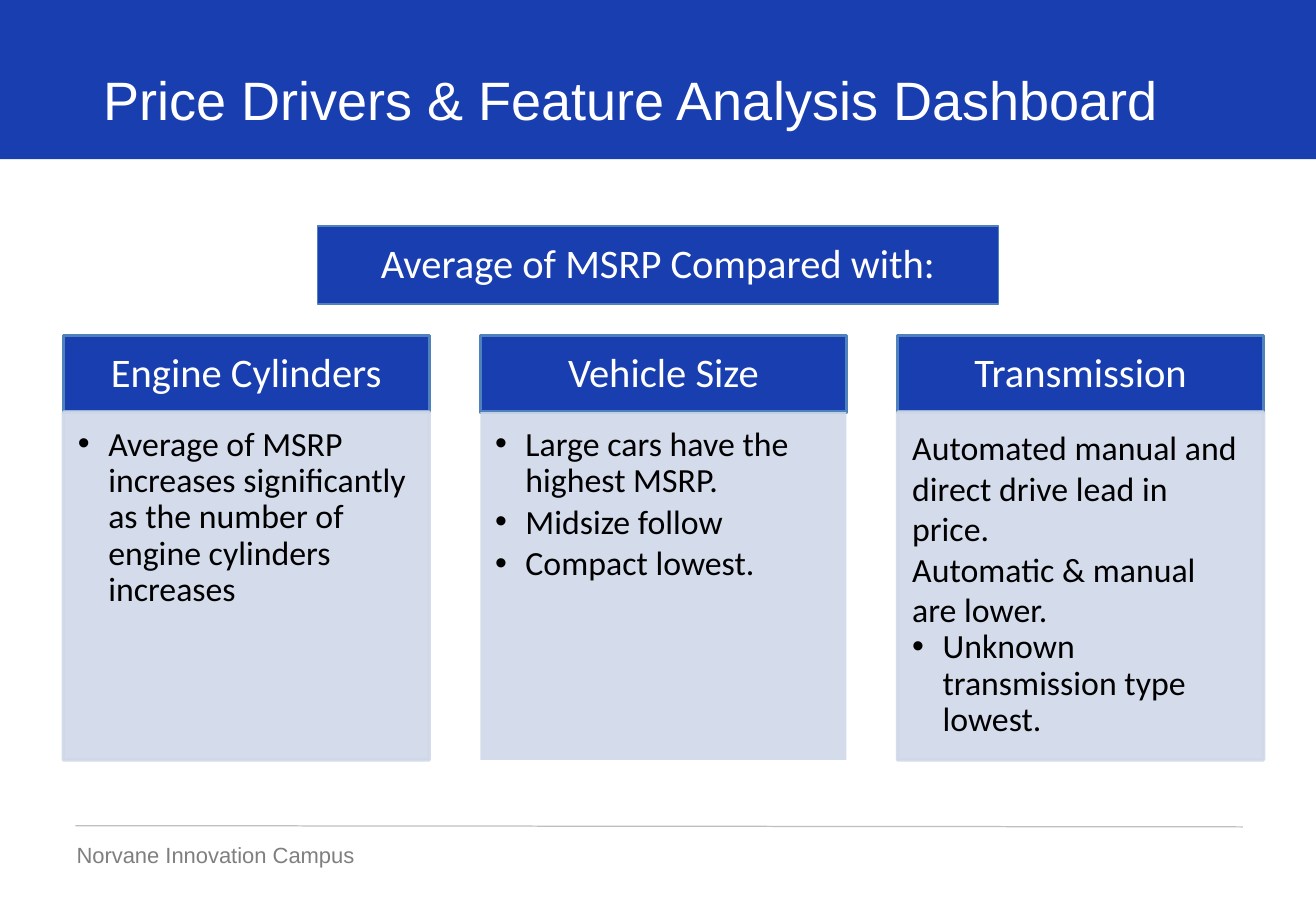
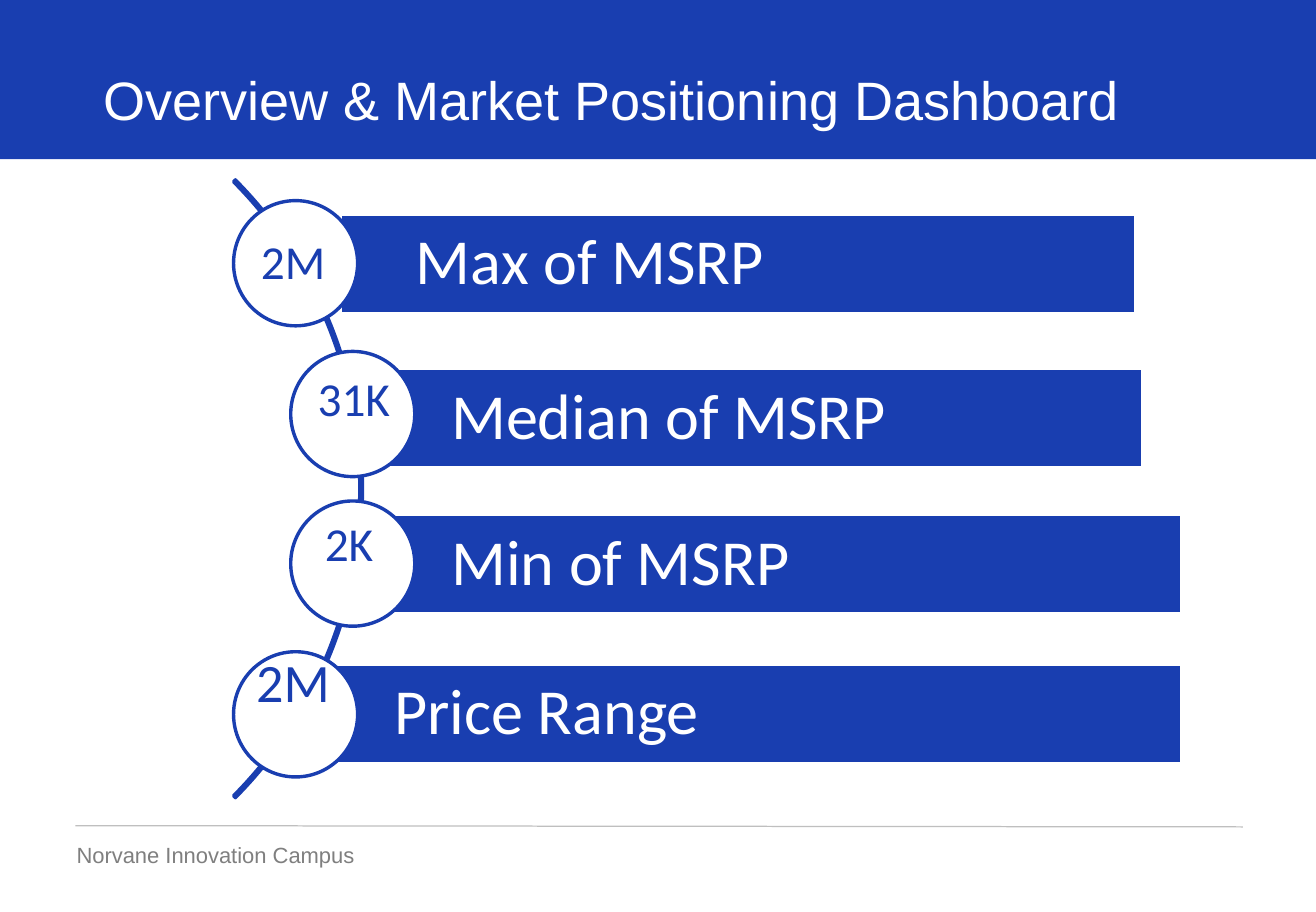
from lxml.etree import SubElement
from pptx import Presentation
from pptx.dml.color import RGBColor
from pptx.enum.shapes import MSO_CONNECTOR, MSO_SHAPE
from pptx.enum.text import MSO_ANCHOR, PP_ALIGN
from pptx.oxml.ns import qn
from pptx.util import Emu, Pt

SCALE = 9144
WIDE, HIGH = 1082, 750
BLUE, EDGE, PALE = "193EB0", "4F81BD", "D0D8E8"
WHITE, BLACK, GREY, RULE = "FFFFFF", "000000", "7F7F7F", "BFBFBF"

HEAD = {"size": 24, "hue": WHITE, "align": PP_ALIGN.CENTER, "space": 0.9}
BODY = {"size": 20, "hue": BLACK}
ITEM = BODY | {"space": 0.9, "after": 3, "bullet": True}
ROW = {"size": 38, "hue": WHITE, "space": 0.9}
TITLE = {"size": 32, "hue": WHITE, "face": "Arial", "space": Pt(38.4)}
FOOT = {"size": 13, "hue": GREY, "face": "Arial", "space": Pt(15.6)}

COLUMNS = [
    ("Engine Cylinders", PALE, [
        ("Average of MSRP increases significantly as the number of "
         "engine cylinders increases", ITEM)]),
    ("Vehicle Size", None, [
        ("Large cars have the highest MSRP.", ITEM),
        ("Midsize follow", ITEM),
        ("Compact lowest.", ITEM)]),
    ("Transmission", PALE, [
        ("Automated manual and direct drive lead in price.", BODY),
        ("Automatic & manual are lower.", BODY),
        ("Unknown transmission type lowest.", ITEM)]),
]

ROWS = [
    ("Max of MSRP", (280, 176, 654), 62, 192, "2M", (116, 191), 28),
    ("Median of MSRP", (290, 303, 650), 81, 239, "31K", (166, 304), 28),
    ("Min of MSRP", (290, 423, 682), 81, 239, "2K", (162, 423), 28),
    ("Price Range", (243, 546, 729), 81, 192, "2M", (116, 533), 32),
]


def px(*vals):
    return [Emu(val * SCALE) for val in vals]


def color(code):
    return RGBColor.from_string(code)


def apply(obj, vals):
    for key, val in vals.items():
        setattr(obj, key, val)


def paint(fill, code):
    if code:
        fill.solid()
        fill.fore_color.rgb = color(code)
    else:
        fill.background()


def block(slide, kind, box, fill=None, line=None, width=2):
    shape = slide.shapes.add_shape(kind, *px(*box))
    shape.shadow.inherit = False
    paint(shape.fill, fill)
    paint(shape.line.fill, line)
    if line:
        shape.line.width = Pt(width)
    return shape


def fade(shape, part):
    for node in shape.element.spPr.iter(qn("a:srgbClr")):
        SubElement(node, qn("a:alpha"), val=str(part * 1000))


def dot(para, gap):
    props = para._p.get_or_add_pPr()
    props.set("marL", str(gap * SCALE))
    props.set("indent", str(-gap * SCALE))
    SubElement(props, qn("a:buFont"), typeface="Arial")
    SubElement(props, qn("a:buChar"), char="•")


def write(shape, paras, pad=(0, 0, 0, 0), anchor=MSO_ANCHOR.TOP):
    frame = shape.text_frame
    left, top, right, base = px(*pad)
    apply(frame, {"word_wrap": True, "vertical_anchor": anchor,
                  "margin_left": left, "margin_top": top,
                  "margin_right": right, "margin_bottom": base})
    for num, (text, look) in enumerate(paras):
        para = frame.add_paragraph() if num else frame.paragraphs[0]
        if look.get("bullet"):
            dot(para, 25)
        apply(para, {"alignment": look.get("align", PP_ALIGN.LEFT),
                     "line_spacing": look.get("space", 1.0),
                     "space_after": Pt(look.get("after", 0))})
        run = para.add_run()
        run.text = text
        apply(run.font, {"name": look.get("face", "Calibri"),
                         "size": Pt(look["size"])})
        run.font.color.rgb = color(look["hue"])


def label(slide, box, text, look):
    write(slide.shapes.add_textbox(*px(*box)), [(text, look)])


def bar(slide, box, text, look, pad, line, width=2):
    shape = block(slide, MSO_SHAPE.RECTANGLE, box, BLUE, line, width)
    write(shape, [(text, look)], pad, MSO_ANCHOR.MIDDLE)


def rule(slide, *ends):
    line = slide.shapes.add_connector(MSO_CONNECTOR.STRAIGHT, *px(*ends))
    line.line.width = Pt(0.75)
    line.line.color.rgb = color(RULE)
    SubElement(line.element.spPr, qn("a:effectLst"))


def page(deck, title):
    slide = deck.slides.add_slide(deck.slide_layouts[6])
    block(slide, MSO_SHAPE.RECTANGLE, (0, 0, WIDE, 131), BLUE)
    rule(slide, 62, 679, 1022, 680)
    label(slide, (63, 692, 316, 25), "Norvane Innovation Campus", FOOT)
    label(slide, (85, 55, 921, 53), title, TITLE)
    return slide


def column(slide, left, head, line, paras):
    bar(slide, (left, 276, 301, 63), head, HEAD, (19, 11, 19, 11), EDGE)
    panel = block(slide, MSO_SHAPE.RECTANGLE, (left, 339, 301, 286), PALE, line)
    fade(panel, 90)
    write(panel, paras, (12, 12, 16, 17))


def drivers(deck):
    slide = page(deck, "Price Drivers & Feature Analysis Dashboard")
    for num, (head, line, paras) in enumerate(COLUMNS):
        column(slide, 52 + num * 343, head, line, paras)
    bar(slide, (261, 186, 560, 64), "Average of MSRP Compared with:",
        HEAD, (14, 8, 14, 8), EDGE, 1)


def market(deck):
    slide = page(deck, "Overview & Market Positioning Dashboard")
    arc = block(slide, MSO_SHAPE.BLOCK_ARC, (-419, 42, 717, 720), None, BLUE)
    for num, val in enumerate((189, 27, 0.003)):
        arc.adjustments[num] = val
    for num, (name, place, inset, left, value, spot, size) in enumerate(ROWS):
        bar(slide, (*place, 82), name, ROW, (inset, 11, 11, 11), WHITE)
        top = 165 + round(num * 371 / 3)
        block(slide, MSO_SHAPE.OVAL, (left, top, 102, 103), WHITE, BLUE)
        look = {"size": size, "hue": BLUE, "align": PP_ALIGN.CENTER}
        label(slide, (*spot, 250, 47), value, look)


def main():
    deck = Presentation()
    deck.slide_width, deck.slide_height = px(WIDE, HIGH)
    drivers(deck)
    market(deck)
    deck.save("out.pptx")


if __name__ == "__main__":
    main()
